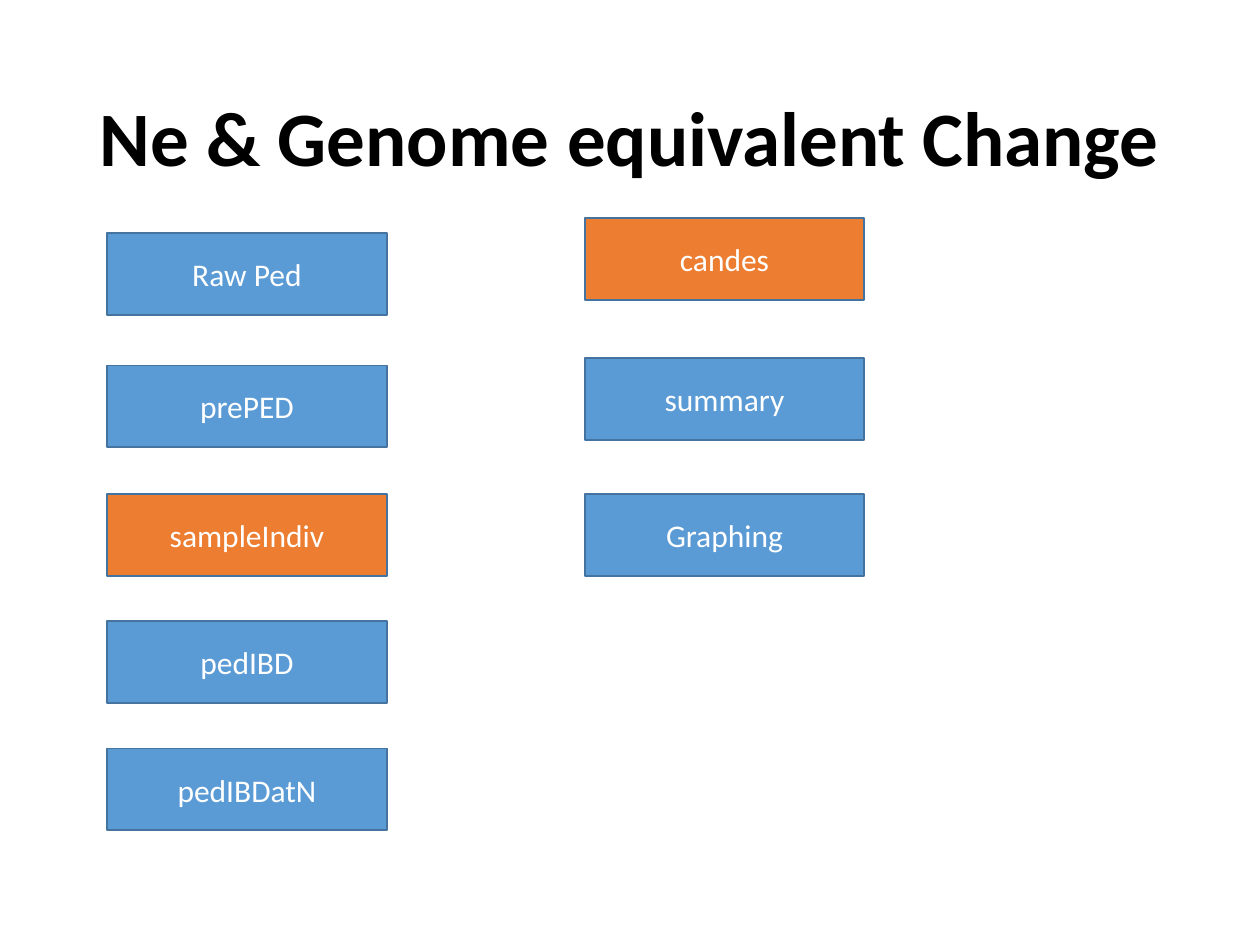
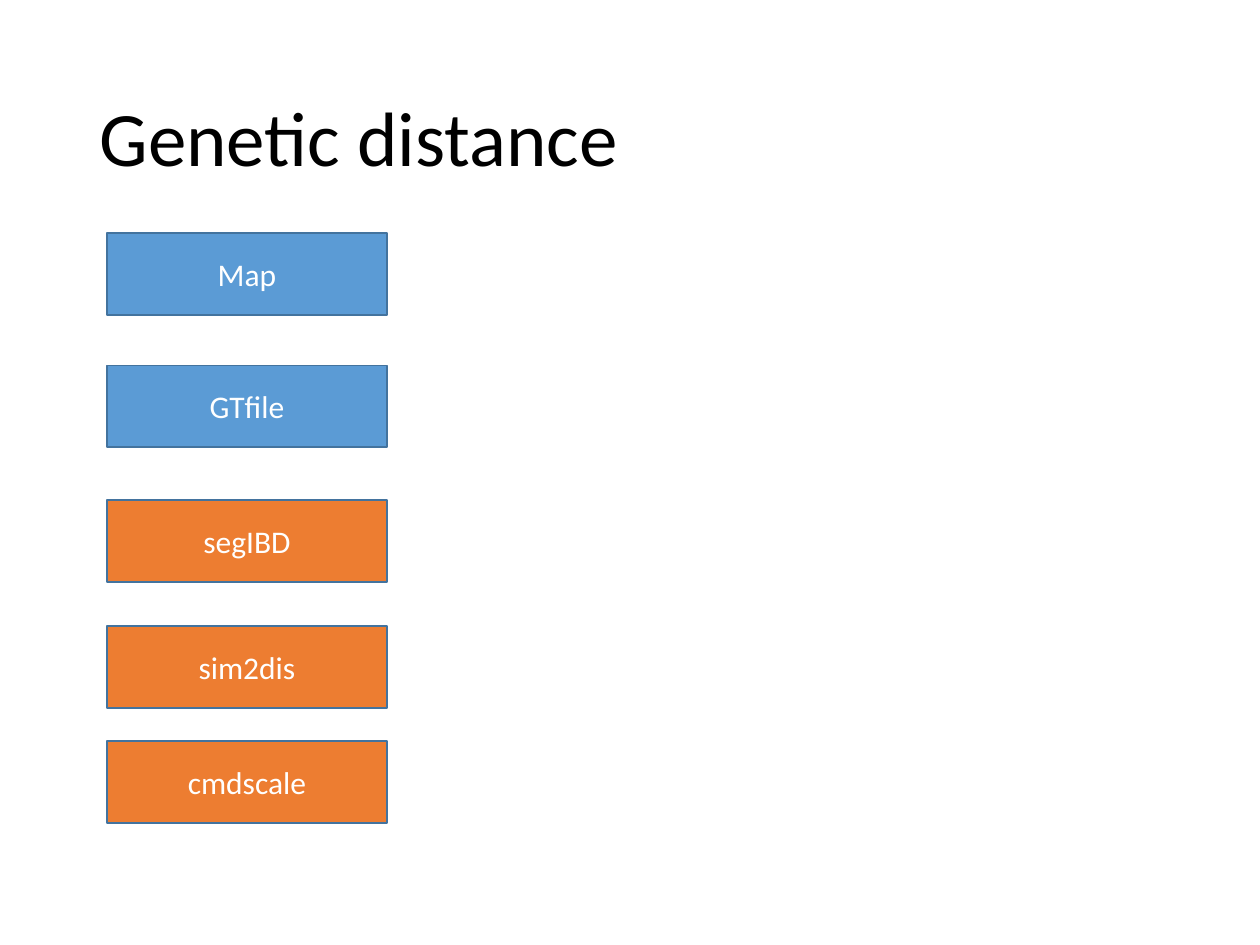
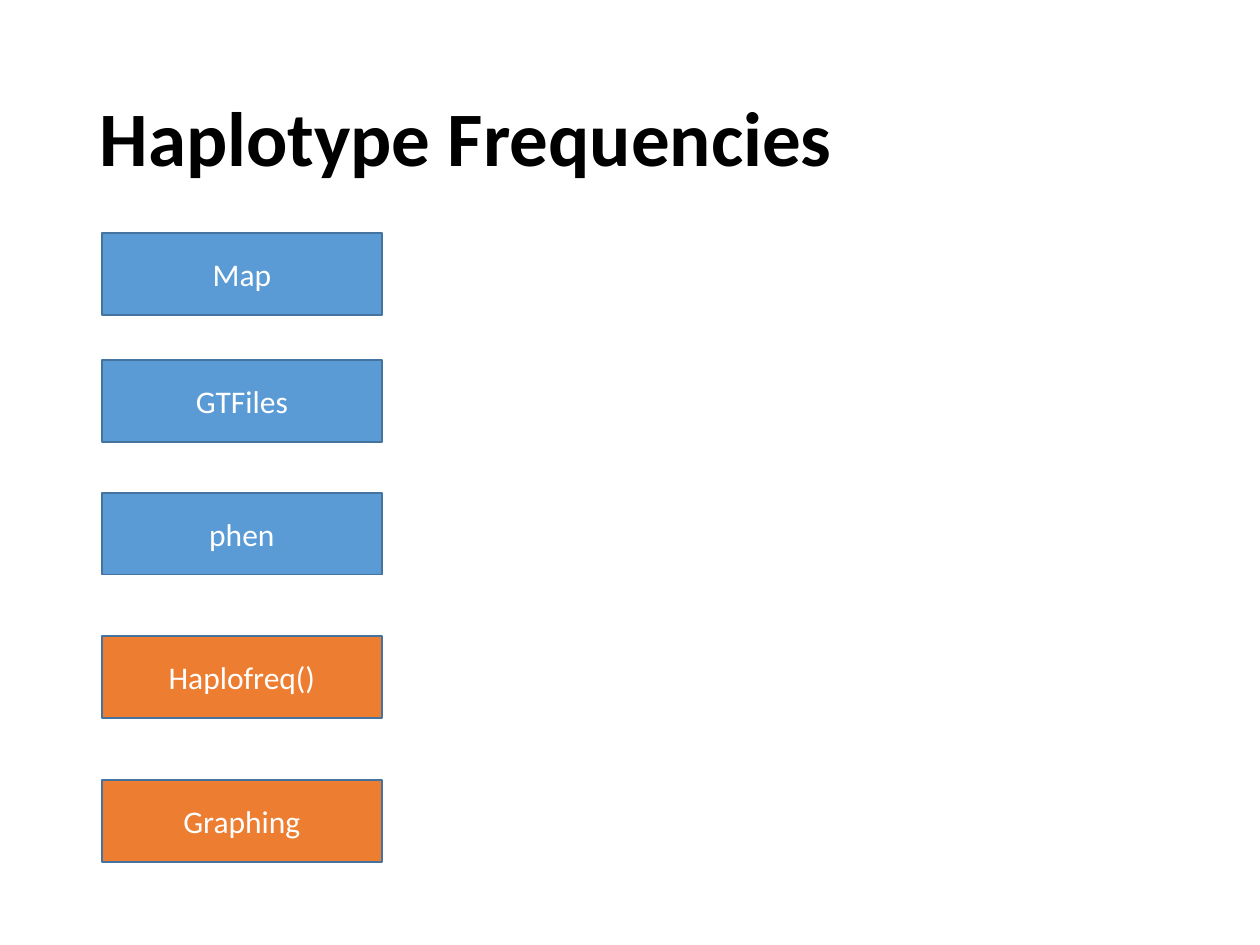
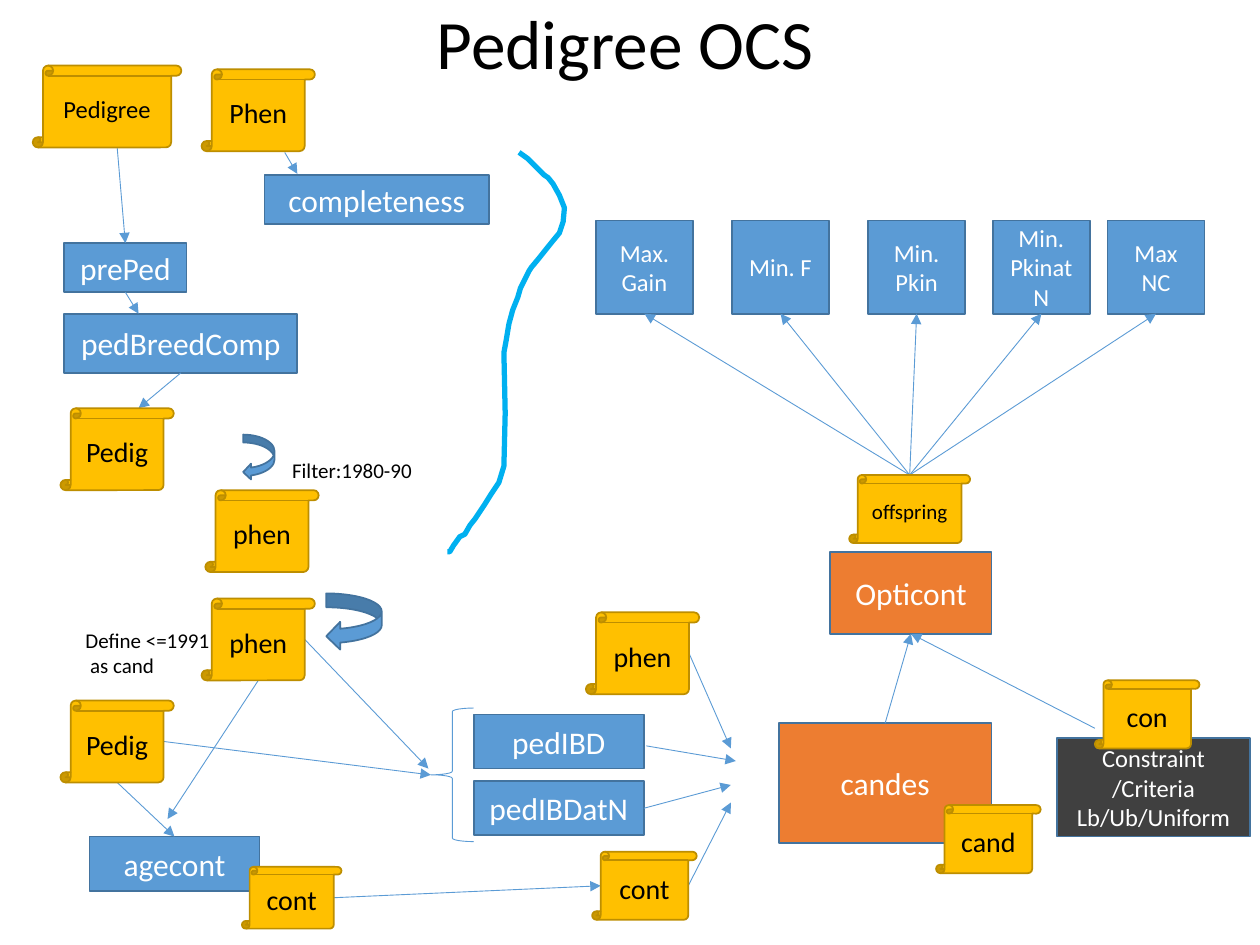
from dataclasses import dataclass
from enum import Enum
from typing import NamedTuple

from lxml import etree
from pptx import Presentation
from pptx import presentation as pres
from pptx import slide as sld
from pptx import util as u
from pptx.dml import color as col
from pptx.enum import shapes, text
from pptx.oxml import ns
from pptx.shapes import autoshape, base


@dataclass(frozen=True)
class Theme:
    font: str = "Calibri"
    blue: str = "5B9BD5"
    blue_edge: str = "43739E"
    orange: str = "ED7D31"
    gold: str = "FFC000"
    gold_edge: str = "BD8E00"
    dark: str = "404040"
    sky: str = "00B0F0"
    black: str = "000000"
    white: str = "FFFFFF"
    title_size: float = 44
    diagram_title_size: float = 39.6
    step_size: float = 18
    file_size: float = 16
    small_size: float = 14
    note_size: float = 12
    title_spacing: float = 0.9
    edge_width: float = 1
    arrow_width: float = 0.5
    divider_width: float = 3


THEME = Theme()


class Point(NamedTuple):
    x: float
    y: float


class Area(NamedTuple):
    left: float
    top: float
    width: float
    height: float


class Side(Enum):
    TOP = (0.5, 0)
    BOTTOM = (0.5, 1)
    LEFT = (0, 0.5)
    RIGHT = (1, 0.5)


@dataclass(frozen=True)
class Style:
    fill: str
    size: float
    ink: str = THEME.white
    edge: str = THEME.blue_edge
    preset: shapes.MSO_SHAPE = shapes.MSO_SHAPE.RECTANGLE
    side_inset: float = 0


STEP = Style(THEME.blue, THEME.step_size)
FUNCTION = Style(THEME.orange, THEME.step_size)
GOAL = Style(THEME.blue, THEME.small_size)
CONSTRAINT = Style(THEME.dark, THEME.small_size)


def file_style(size: float) -> Style:
    return Style(THEME.gold, size, THEME.black, THEME.gold_edge,
                 shapes.MSO_SHAPE.VERTICAL_SCROLL, side_inset=0.125)


FILE = file_style(THEME.file_size)
LONG_FILE = file_style(THEME.small_size)
OFFSPRING_FILE = file_style(THEME.note_size)


@dataclass(frozen=True)
class Node:
    label: str
    area: Area
    style: Style = STEP

    def at(self, side: Side) -> Point:
        left, top, width, height = self.area
        across, down = side.value
        inset = self.style.side_inset * min(width, height)
        return Point(left + inset + across * (width - 2 * inset), top + down * height)


class Arrow(NamedTuple):
    start: Point
    end: Point


class Column(NamedTuple):
    left: float
    steps: list[tuple[str, float, Style]]


class Flow(NamedTuple):
    title: str
    bold: bool
    columns: list[Column]


STEP_WIDTH, STEP_HEIGHT = 2.22, 0.65
TITLE_AREA = Area(0.69, 0.4, 8.62, 1.45)
DIAGRAM_TITLE_AREA = Area(0.65, 0.04, 8.62, 0.66)

FLOWS = [
    Flow("Ne & Genome equivalent Change", True, [
        Column(0.85, [("Raw Ped", 1.85, STEP), ("prePED", 2.9, STEP),
                      ("sampleIndiv", 3.92, FUNCTION), ("pedIBD", 4.93, STEP),
                      ("pedIBDatN", 5.94, STEP)]),
        Column(4.64, [("candes", 1.73, FUNCTION), ("summary", 2.84, STEP),
                      ("Graphing", 3.92, STEP)]),
    ]),
    Flow("Genetic distance", False, [
        Column(0.85, [("Map", 1.85, STEP), ("GTfile", 2.9, STEP),
                      ("segIBD", 3.97, FUNCTION), ("sim2dis", 4.97, FUNCTION),
                      ("cmdscale", 5.88, FUNCTION)]),
    ]),
    Flow("Haplotype Frequencies", True, [
        Column(0.81, [("Map", 1.85, STEP), ("GTFiles", 2.86, STEP), ("phen", 3.91, STEP),
                      ("Haplofreq()", 5.05, FUNCTION), ("Graphing", 6.19, FUNCTION)]),
    ]),
]


def sheet(label: str, left: float, top: float) -> Node:
    return Node(label, Area(left, top, 0.9, 0.65), FILE)


def small_sheet(label: str, left: float, top: float, height: float = 0.54) -> Node:
    return Node(label, Area(left, top, 0.83, height), FILE)


COMPLETENESS = Node("completeness", Area(2.1, 1.39, 1.78, 0.39))
PRE_PED = Node("prePed", Area(0.51, 1.93, 0.97, 0.39))
BREED_COMP = Node("pedBreedComp", Area(0.51, 2.49, 1.85, 0.47))
AGE_CONT = Node("agecont", Area(0.71, 6.64, 1.35, 0.43))
PED_IBD = Node("pedIBD", Area(3.76, 5.67, 1.35, 0.43))
PED_IBD_AT_N = Node("pedIBDatN", Area(3.76, 6.2, 1.35, 0.43))
CANDES = Node("candes", Area(6.18, 5.74, 1.69, 0.95), FUNCTION)
OPTICONT = Node("Opticont", Area(6.59, 4.38, 1.28, 0.65), FUNCTION)
CRITERIA = Node("Constraint /Criteria\nLb/Ub/Uniform", Area(8.39, 5.86, 1.53, 0.78), CONSTRAINT)
BOXES = [COMPLETENESS, PRE_PED, BREED_COMP, AGE_CONT, PED_IBD, PED_IBD_AT_N,
         CANDES, OPTICONT, CRITERIA]

GOAL_LEFTS = {"Max. Gain": 4.73, "Min. F": 5.81, "Min. Pkin": 6.89,
              "Min. PkinatN": 7.88, "Max NC": 8.79}
GOALS = [Node(label, Area(left, 1.75, 0.77, 0.74), GOAL) for label, left in GOAL_LEFTS.items()]

PEDIGREE = Node("Pedigree", Area(0.26, 0.52, 1.18, 0.65), LONG_FILE)
RAW_PHEN = sheet("Phen", 1.6, 0.55)
PEDIG = sheet("Pedig", 0.48, 3.24)
FILTERED_PHEN = sheet("phen", 1.63, 3.89)
CAND_PHEN = sheet("phen", 1.6, 4.75)
CAND_PEDIG = sheet("Pedig", 0.48, 5.56)
INPUT_PHEN = sheet("phen", 4.65, 4.86)
AGE_CONT_FILE = Node("cont", Area(1.92, 6.88, 0.79, 0.49), FILE)
INPUT_CONT = small_sheet("cont", 4.7, 6.76)
CAND = small_sheet("cand", 7.43, 6.39)
CON = small_sheet("con", 8.69, 5.4)
OFFSPRING = Node("offspring", Area(6.74, 3.77, 0.96, 0.54), OFFSPRING_FILE)
FILES = [PEDIGREE, RAW_PHEN, PEDIG, FILTERED_PHEN, CAND_PHEN, CAND_PEDIG, INPUT_PHEN,
         AGE_CONT_FILE, INPUT_CONT, CAND, CON, OFFSPRING]

BRACE = Area(3.42, 5.62, 0.34, 1.06)
BRACE_TIP = Point(BRACE.left, BRACE.top + BRACE.height / 2)
CANDES_INPUT_X = 5.8

ARROWS = [
    Arrow(Point(0.93, 1.17), PRE_PED.at(Side.TOP)),
    Arrow(Point(2.26, 1.21), Point(2.36, 1.38)),
    Arrow(PRE_PED.at(Side.BOTTOM), Point(1.1, 2.49)),
    Arrow(BREED_COMP.at(Side.BOTTOM), Point(1.1, 3.24)),
    Arrow(CAND_PHEN.at(Side.BOTTOM), Point(1.33, 6.5)),
    Arrow(CAND_PEDIG.at(Side.BOTTOM), AGE_CONT.at(Side.TOP)),
    Arrow(CAND_PEDIG.at(Side.RIGHT), BRACE_TIP),
    Arrow(CAND_PHEN.at(Side.RIGHT), Point(3.4, 6.1)),
    Arrow(AGE_CONT_FILE.at(Side.RIGHT), INPUT_CONT.at(Side.LEFT)),
    Arrow(INPUT_PHEN.at(Side.RIGHT), Point(CANDES_INPUT_X, 5.94)),
    Arrow(Point(5.13, 5.92), Point(5.84, 6.04)),
    Arrow(PED_IBD_AT_N.at(Side.RIGHT), Point(CANDES_INPUT_X, 6.23)),
    Arrow(INPUT_CONT.at(Side.RIGHT), Point(CANDES_INPUT_X, 6.37)),
    Arrow(CANDES.at(Side.TOP), OPTICONT.at(Side.BOTTOM)),
    Arrow(Point(8.69, 5.78), OPTICONT.at(Side.BOTTOM)),
    *[Arrow(OFFSPRING.at(Side.TOP), goal.at(Side.BOTTOM)) for goal in GOALS],
]

NOTES = {
    "Filter:1980-90": Area(2.22, 3.58, 1.16, 0.3),
    "Define <=1991\n as cand": Area(0.58, 4.93, 1.2, 0.5),
}
TURNS = [Area(1.93, 3.45, 0.25, 0.36), Area(2.59, 4.71, 0.44, 0.45)]
DIVIDER = [
    (4.12, 1.21), (4.19, 1.26), (4.24, 1.31), (4.32, 1.39), (4.35, 1.41), (4.39, 1.46),
    (4.44, 1.55), (4.48, 1.65), (4.47, 1.76), (4.44, 1.85), (4.39, 1.91), (4.35, 1.96),
    (4.27, 2.06), (4.22, 2.12), (4.2, 2.15), (4.16, 2.23), (4.13, 2.29), (4.11, 2.36),
    (4.07, 2.46), (4.04, 2.57), (4.02, 2.69), (4, 2.8), (4.01, 3.28), (4, 3.7),
    (3.96, 3.83), (3.9, 3.92), (3.85, 4), (3.77, 4.12), (3.73, 4.17), (3.69, 4.24),
    (3.65, 4.26), (3.6, 4.33), (3.57, 4.38), (3.55, 4.38),
]


def rgb(value: str) -> col.RGBColor:
    return col.RGBColor.from_string(value)


def inches(lengths: tuple[float, ...]) -> list[u.Length]:
    return [u.Inches(length) for length in lengths]


def write(shape: base.BaseShape, content: str, *, size: float, color: str,
          bold: bool = False, align: text.PP_ALIGN = text.PP_ALIGN.CENTER,
          anchor: text.MSO_ANCHOR = text.MSO_ANCHOR.MIDDLE,
          spacing: float = 1.0, wrap: bool = True) -> None:
    frame = shape.text_frame
    frame.text = content
    frame.word_wrap = wrap
    frame.vertical_anchor = anchor
    frame.auto_size = text.MSO_AUTO_SIZE.NONE if wrap else text.MSO_AUTO_SIZE.SHAPE_TO_FIT_TEXT
    for para in frame.paragraphs:
        para.alignment = align
        para.line_spacing = spacing
        for span in para.runs:
            span.font.name = THEME.font
            span.font.size = u.Pt(size)
            span.font.bold = bold
            span.font.color.rgb = rgb(color)


def outline(shape: base.BaseShape, color: str, width: float) -> None:
    shape.line.color.rgb = rgb(color)
    shape.line.width = u.Pt(width)


def paint(shape: autoshape.Shape, *, fill: str | None, edge: str,
          width: float = THEME.edge_width) -> None:
    shape.shadow.inherit = False
    if fill:
        shape.fill.solid()
        shape.fill.fore_color.rgb = rgb(fill)
    else:
        shape.fill.background()
    outline(shape, edge, width)


def add_node(page: sld.Slide, node: Node) -> None:
    style = node.style
    box = page.shapes.add_shape(style.preset, *inches(node.area))
    paint(box, fill=style.fill, edge=style.edge)
    write(box, node.label, size=style.size, color=style.ink)


def add_arrow(page: sld.Slide, arrow: Arrow) -> None:
    line = page.shapes.add_connector(shapes.MSO_CONNECTOR.STRAIGHT,
                                     *inches(arrow.start + arrow.end))
    outline(line, THEME.blue, THEME.arrow_width)
    properties = line.element.spPr
    etree.SubElement(properties.find(ns.qn("a:ln")), ns.qn("a:tailEnd"), type="triangle")
    etree.SubElement(properties, ns.qn("a:effectLst"))


def add_turn(page: sld.Slide, area: Area) -> None:
    turn = page.shapes.add_shape(shapes.MSO_SHAPE.CURVED_RIGHT_ARROW, *inches(area))
    paint(turn, fill=THEME.blue, edge=THEME.blue_edge)
    turn.element.spPr.find(ns.qn("a:xfrm")).set("flipH", "1")


def add_note(page: sld.Slide, content: str, area: Area) -> None:
    box = page.shapes.add_textbox(*inches(area))
    write(box, content, size=THEME.note_size, color=THEME.black, wrap=False,
          align=text.PP_ALIGN.LEFT, anchor=text.MSO_ANCHOR.TOP)


def add_brace(page: sld.Slide) -> None:
    brace = page.shapes.add_shape(shapes.MSO_SHAPE.LEFT_BRACE, *inches(BRACE))
    paint(brace, fill=None, edge=THEME.blue, width=THEME.arrow_width)


def add_divider(page: sld.Slide) -> None:
    start, *bends = [inches(point) for point in DIVIDER]
    builder = page.shapes.build_freeform(*start)
    builder.add_line_segments(bends, close=False)
    paint(builder.convert_to_shape(), fill=None, edge=THEME.sky, width=THEME.divider_width)


def add_page(deck: pres.Presentation, title: str, area: Area, *, size: float,
             bold: bool = False, align: text.PP_ALIGN = text.PP_ALIGN.LEFT) -> sld.Slide:
    page = deck.slides.add_slide(deck.slide_layouts.get_by_name("Title Only"))
    box = page.shapes.title
    box.left, box.top, box.width, box.height = inches(area)
    write(box, title, size=size, color=THEME.black, bold=bold, align=align,
          spacing=THEME.title_spacing)
    return page


def add_flow_page(deck: pres.Presentation, flow: Flow) -> None:
    page = add_page(deck, flow.title, TITLE_AREA, size=THEME.title_size, bold=flow.bold)
    for column in flow.columns:
        for label, top, style in column.steps:
            add_node(page, Node(label, Area(column.left, top, STEP_WIDTH, STEP_HEIGHT), style))


def add_diagram_page(deck: pres.Presentation) -> None:
    page = add_page(deck, "Pedigree OCS", DIAGRAM_TITLE_AREA,
                    size=THEME.diagram_title_size, align=text.PP_ALIGN.CENTER)
    for node in BOXES + GOALS:
        add_node(page, node)
    for arrow in ARROWS:
        add_arrow(page, arrow)
    for node in FILES:
        add_node(page, node)
    for area in TURNS:
        add_turn(page, area)
    for content, area in NOTES.items():
        add_note(page, content, area)
    add_brace(page)
    add_divider(page)


def main() -> None:
    deck = Presentation()
    deck.slide_width, deck.slide_height = inches((10, 7.5))
    for flow in FLOWS:
        add_flow_page(deck, flow)
    add_diagram_page(deck)
    deck.save("out.pptx")


if __name__ == "__main__":
    main()
